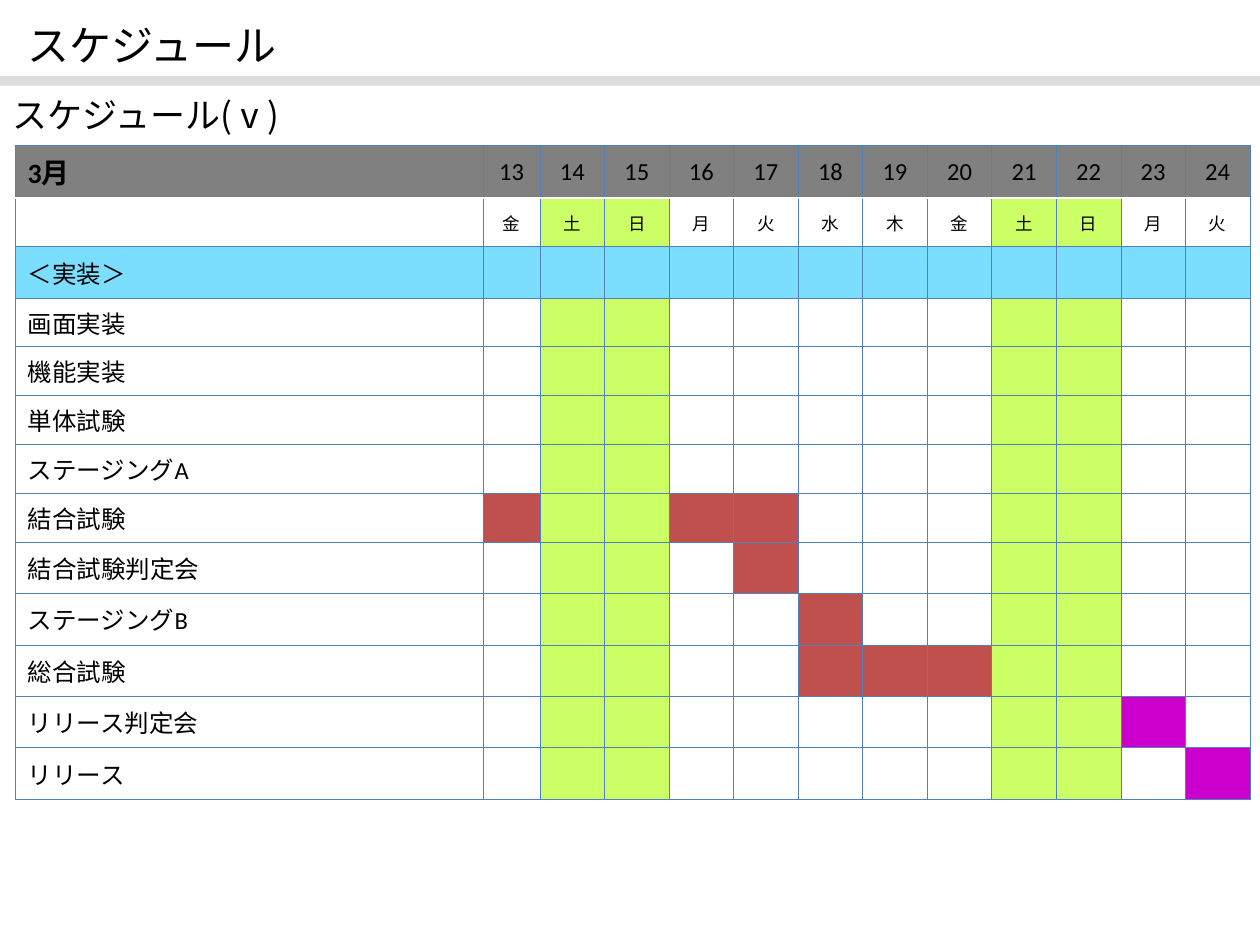
from dataclasses import dataclass

from lxml import etree
from pptx import Presentation
from pptx.dml.color import RGBColor
from pptx.enum.shapes import MSO_SHAPE
from pptx.enum.text import MSO_ANCHOR, MSO_AUTO_SIZE, PP_ALIGN
from pptx.oxml.ns import qn
from pptx.util import Pt

LEFT, CENTER = PP_ALIGN.LEFT, PP_ALIGN.CENTER
MIDDLE = MSO_ANCHOR.MIDDLE
FIXED = MSO_AUTO_SIZE.NONE
RECT = MSO_SHAPE.RECTANGLE


@dataclass(frozen=True)
class Theme:
    latin: str = "Calibri"
    asian: str = "Noto Sans CJK JP"
    ink: str = "000000"
    white: str = "FFFFFF"
    rule: str = "DDDDDD"
    head: str = "808080"
    phase: str = "7BDEFF"
    rest: str = "CCFF66"
    work: str = "C0504D"
    gate: str = "CC00CC"
    edge: str = "4F81BD"
    title: float = 24
    sub: float = 20
    month: float = 16
    body: float = 14
    small: float = 10
    thin: float = 0.45
    thick: float = 1.47


T = Theme()

# Calendar
FIRST, LAST = 13, 24
DAYS = range(FIRST, LAST + 1)
WEEK = "金土日月火水木"
RESTS = "土日"

# Task name, booked days and bar colour
TASKS = [
    ("画面実装", (), None),
    ("機能実装", (), None),
    ("単体試験", (), None),
    ("ステージングA", (), None),
    ("結合試験", (13, 16, 17), T.work),
    ("結合試験判定会", (17,), T.work),
    ("ステージングB", (18,), T.work),
    ("総合試験", (18, 19, 20), T.work),
    ("リリース判定会", (23,), T.gate),
    ("リリース", (24,), T.gate),
]

# Table sizes in points
COLS = [267.6, 32.4] + [36.88] * (len(DAYS) - 1)
ROWS = [29.5, 27.8, 29.2] + [27.9] * 5 + [29.4] * 5


def apply(item, values):
    for name, value in values.items():
        setattr(item, name, value)


def color(code):
    return RGBColor.from_string(code)


def style(para, text, size, face, align=LEFT, bold=False, before=0):
    apply(para, {"alignment": align, "space_before": Pt(before)})
    run = para.add_run()
    run.text = text
    apply(run.font, {"name": face, "size": Pt(size), "bold": bold})
    run.font.color.rgb = color(T.ink)
    etree.SubElement(run.font._element, qn("a:ea"), typeface=T.asian)


def place(shape, left, top, width, height):
    box = {"left": left, "top": top, "width": width, "height": height}
    apply(shape, {name: Pt(value) for name, value in box.items()})


def label(shape, text, size, wrap):
    frame = shape.text_frame
    apply(frame, {"word_wrap": wrap, "auto_size": FIXED,
                  "vertical_anchor": MIDDLE})
    style(frame.paragraphs[0], text, size, T.asian)


def band(slide, left, top, width, height):
    bar = slide.shapes.add_shape(RECT, Pt(left), Pt(top), Pt(width), Pt(height))
    bar.shadow.inherit = False
    bar.fill.solid()
    bar.fill.fore_color.rgb = color(T.rule)
    bar.line.fill.background()


def border(cell, side, code, width):
    props = cell._tc.get_or_add_tcPr()
    line = etree.SubElement(props, qn("a:ln" + side), w=str(int(Pt(width))))
    fill = etree.SubElement(line, qn("a:solidFill"))
    etree.SubElement(fill, qn("a:srgbClr"), val=code)


def paint(cell, fill, row):
    # A thick white line parts the date row from the weekday row
    gap = {0: "B", 1: "T"}.get(row)
    for side in "LRTB":
        if side == gap:
            border(cell, side, T.white, T.thick)
        else:
            border(cell, side, T.edge, T.thin)
    cell.fill.solid()
    cell.fill.fore_color.rgb = color(fill)
    cell.vertical_anchor = MIDDLE


def write(cell, text, size, **form):
    para = cell.text_frame.paragraphs[0]
    if text:
        style(para, text, size, T.latin, **form)
    else:
        # Small type keeps an empty cell from stretching its row
        etree.SubElement(para._p, qn("a:endParaRPr"), sz=str(int(size * 100)))


def name_of(day):
    return WEEK[(day - FIRST) % len(WEEK)]


def tint(day, booked=(), bar=None):
    if day in booked:
        return bar
    return T.rest if name_of(day) in RESTS else T.white


def plan():
    """Give each row as pairs of text and fill."""
    yield [("3月", T.head)] + [(str(day), T.head) for day in DAYS]
    yield [("", T.white)] + [(name_of(day), tint(day)) for day in DAYS]
    yield [("＜実装＞", T.phase)] + [("", T.phase)] * len(DAYS)
    for task, booked, bar in TASKS:
        yield [(task, T.white)] + [("", tint(day, booked, bar)) for day in DAYS]


def chart(slide, left, top):
    frame = slide.shapes.add_table(len(ROWS), len(COLS), Pt(left), Pt(top),
                                   Pt(sum(COLS)), Pt(sum(ROWS)))
    table = frame.table
    apply(table, {"first_row": False, "horz_banding": False})
    for col, width in zip(table.columns, COLS):
        col.width = Pt(width)
    for row, height in zip(table.rows, ROWS):
        row.height = Pt(height)

    forms = {0: (T.body, 3.5), 1: (T.small, 2.5)}
    for r, cells in enumerate(plan()):
        for c, (text, fill) in enumerate(cells):
            cell = table.cell(r, c)
            size, before = forms.get(r, (T.body, 3.5))
            month = r == c == 0
            if month:
                size, before = T.month, 4
            paint(cell, fill, r)
            write(cell, text, size, align=CENTER if c else LEFT,
                  bold=month, before=before)


def main():
    deck = Presentation()
    apply(deck, {"slide_width": Pt(720), "slide_height": Pt(540)})
    slide = deck.slides.add_slide(deck.slide_layouts[5])

    # Schedule table
    chart(slide, 8.6, 83)

    # Title and rule
    title = slide.shapes.title
    place(title, 8.6, 3.6, 505, 44)
    label(title, "スケジュール", T.title, True)
    band(slide, 0, 43.4, 723, 5.6)

    # Subtitle
    sub = slide.shapes.add_textbox(Pt(0), Pt(49), Pt(170), Pt(32.5))
    label(sub, "スケジュール(ⅴ)", T.sub, False)

    deck.save("out.pptx")


if __name__ == "__main__":
    main()
